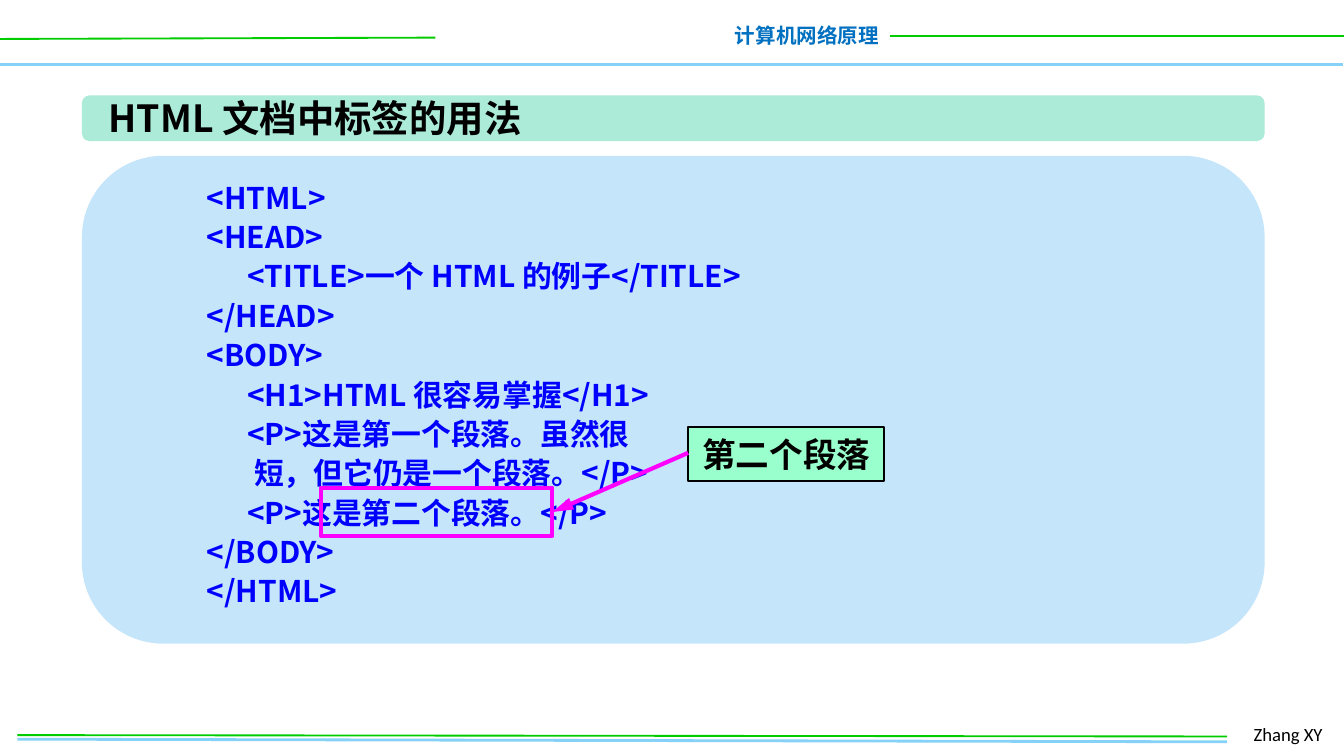
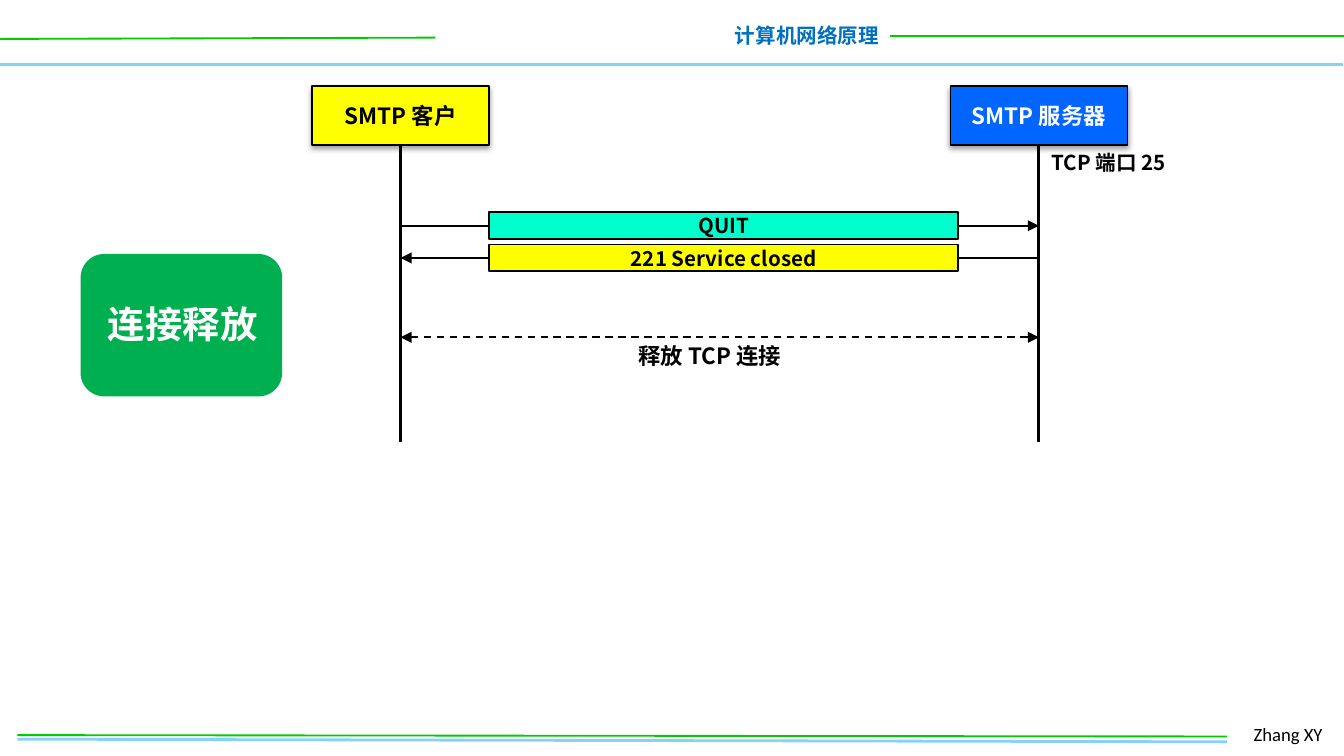
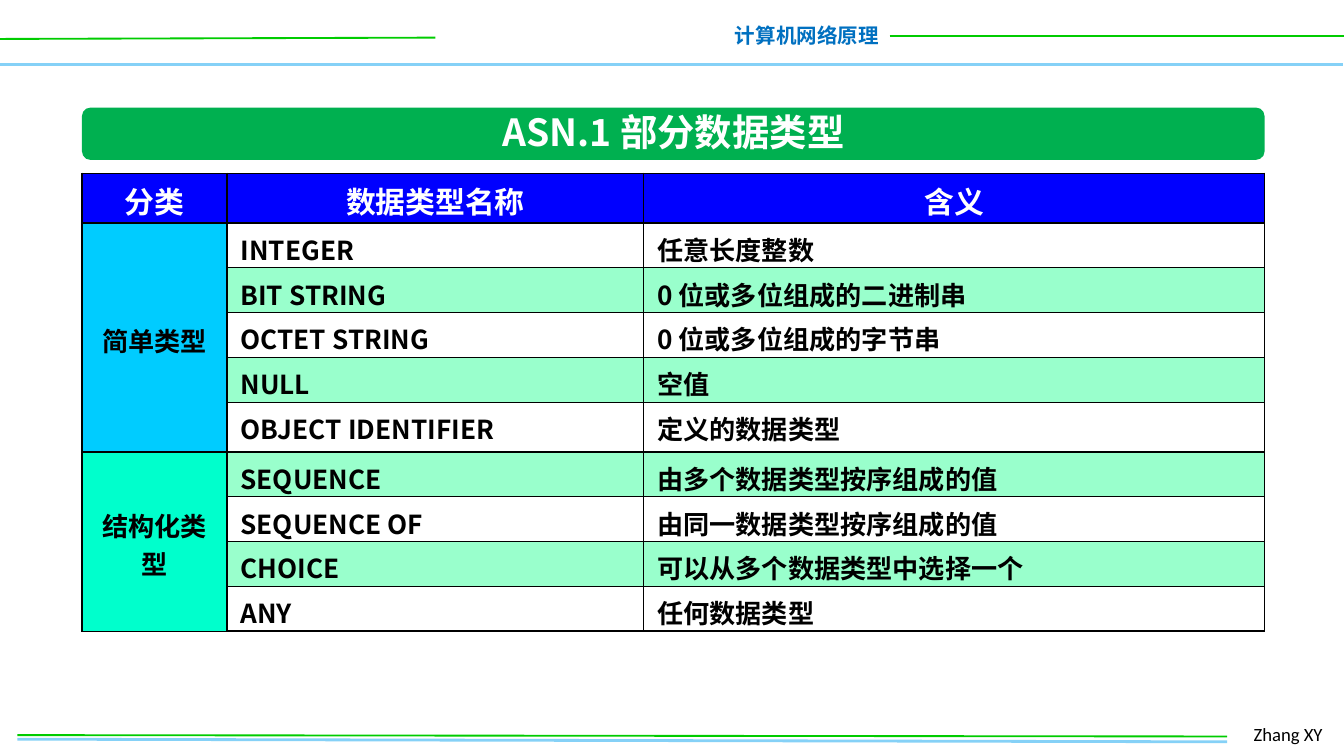
import lxml.etree
import pptx
import pptx.dml.color
import pptx.enum.dml
import pptx.enum.shapes
import pptx.enum.text
import pptx.oxml.ns
import pptx.util

Inches = pptx.util.Inches
Pt = pptx.util.Pt
SHAPE = pptx.enum.shapes.MSO_SHAPE
ALIGN = pptx.enum.text.PP_ALIGN
ANCHOR = pptx.enum.text.MSO_ANCHOR
qn = pptx.oxml.ns.qn

FONT = "Noto Sans CJK SC"
BLACK, WHITE, YELLOW = "000000", "FFFFFF", "FFFF00"
GREEN_RULE, BLUE_RULE = "00CC00", "85D1F7"
GREEN, MINT, AQUA = "00B050", "99FFCC", "00FFCC"
BLUE, MAGENTA = "0000FF", "FF00FF"
LEFT, WIDTH = 0.61, 8.8

HTML_CODE = [
    "<HTML>",
    "<HEAD>\n      <TITLE>一个 HTML 的例子</TITLE>",
    "</HEAD>",
    "<BODY>",
    "      <H1>HTML 很容易掌握</H1>",
    "      <P>这是第一个段落。虽然很",
    "       短，但它仍是一个段落。</P>",
    "      <P>这是第二个段落。</P>",
    "</BODY>",
    "</HTML>",
]
HEADINGS = ["分类", "数据类型名称", "含义"]
# category, colour, (type name, meaning) pairs
DATA_TYPES = [
    ("简单类型", "00CCFF", [
        ("INTEGER", "任意长度整数"),
        ("BIT STRING", "0 位或多位组成的二进制串"),
        ("OCTET STRING", "0 位或多位组成的字节串"),
        ("NULL", "空值"),
        ("OBJECT IDENTIFIER", "定义的数据类型"),
    ]),
    ("结构化类型", AQUA, [
        ("SEQUENCE", "由多个数据类型按序组成的值"),
        ("SEQUENCE OF", "由同一数据类型按序组成的值"),
        ("CHOICE", "可以从多个数据类型中选择一个"),
        ("ANY", "任何数据类型"),
    ]),
]


def rgb(value):
    return pptx.dml.color.RGBColor.from_string(value)


def add_xml(parent, tag, **attributes):
    return lxml.etree.SubElement(parent, qn(tag), **attributes)


def write(tf, lines, size, color=BLACK, align=ALIGN.LEFT, bold=True, font=FONT, spacing=None):
    """Fill a text frame with one paragraph per line."""
    for i, line in enumerate(lines):
        p = tf.add_paragraph() if i else tf.paragraphs[0]
        p.text = line
        p.alignment = align
        if spacing:
            p.line_spacing = spacing
        p.font.size = Pt(size)
        p.font.bold = bold
        p.font.color.rgb = rgb(color)
        p.font.name = font
        add_xml(p._p.pPr.find(qn("a:defRPr")), "a:ea", typeface=font)


def add_text(s, box, lines, size, color=BLACK, wrap=False, **style):
    tf = s.shapes.add_textbox(*map(Inches, box)).text_frame
    tf.word_wrap = wrap
    tf.auto_size = pptx.enum.text.MSO_AUTO_SIZE.SHAPE_TO_FIT_TEXT
    write(tf, lines, size, color, **style)


def add_box(s, box, fill=None, line=None, width=1, kind=SHAPE.RECTANGLE):
    sp = s.shapes.add_shape(kind, *map(Inches, box))
    sp.shadow.inherit = False
    if fill:
        sp.fill.solid()
        sp.fill.fore_color.rgb = rgb(fill)
    else:
        sp.fill.background()
    if line:
        sp.line.color.rgb = rgb(line)
        sp.line.width = Pt(width)
    else:
        sp.line.fill.background()
    return sp


def add_label_box(s, box, text, size, fill, color=BLACK, width=1):
    sp = add_box(s, box, fill, BLACK, width)
    sp.text_frame.word_wrap = True
    sp.text_frame.vertical_anchor = ANCHOR.MIDDLE
    write(sp.text_frame, [text], size, color, ALIGN.CENTER)
    return sp


def add_shadow(sp):
    effects = sp._element.spPr.find(qn("a:effectLst"))
    shadow = add_xml(effects, "a:outerShdw", blurRad=str(Pt(3.1)), dist=str(Pt(1.6)),
                     dir="5400000", rotWithShape="0")
    add_xml(add_xml(shadow, "a:srgbClr", val=BLACK), "a:alpha", val="38000")


def add_line(s, start, end, color=BLACK, width=1, dashed=False, head=False, tail=False,
             arrow_length="med"):
    """Draw a line; head and tail put arrowheads at its start and end."""
    line = s.shapes.add_connector(pptx.enum.shapes.MSO_CONNECTOR.STRAIGHT,
                                  *map(Inches, (*start, *end)))
    line.line.color.rgb = rgb(color)
    line.line.width = Pt(width)
    if dashed:
        line.line.dash_style = pptx.enum.dml.MSO_LINE.DASH
    spPr = line._element.spPr
    for tag, wanted in (("a:headEnd", head), ("a:tailEnd", tail)):
        if wanted:
            add_xml(spPr.find(qn("a:ln")), tag, type="triangle", len=arrow_length)
    add_xml(spPr, "a:effectLst")


def add_band(s, box, fill):
    add_box(s, box, fill, kind=SHAPE.ROUNDED_RECTANGLE)


def add_slide(prs):
    """Add a blank slide with the course header and the author footer."""
    s = prs.slides.add_slide(prs.slide_layouts[6])
    add_line(s, (-0.01, 0.48), (9.99, 0.48), BLUE_RULE, 2)
    add_line(s, (0, 0.29), (3.24, 0.28), GREEN_RULE)
    add_text(s, (5.36, 0.12, 1.28, 0.29), ["计算机网络原理"], 11, "0070C0", align=ALIGN.RIGHT)
    add_line(s, (6.62, 0.27), (10.01, 0.27), GREEN_RULE)
    add_line(s, (0.13, 5.5), (9.13, 5.52), BLUE_RULE, 1.5)
    add_text(s, (9.23, 5.33, 0.74, 0.27), ["Zhang XY"], 10, wrap=True, bold=False, font="Calibri")
    add_line(s, (0.13, 5.47), (9.13, 5.48), GREEN_RULE)
    return s


def build_html_tags(prs):
    s = add_slide(prs)
    add_band(s, (LEFT, 1.16, WIDTH, 3.63), "C5E5FB")
    add_band(s, (LEFT, 0.71, WIDTH, 0.34), "ABEBD7")
    add_text(s, (0.71, 0.66, 3.38, 0.44), ["HTML 文档中标签的用法"], 20)
    add_text(s, (1.44, 1.26, 5.19, 3.36), HTML_CODE, 16, BLUE, wrap=True, spacing=1.1)
    callout = add_label_box(s, (5.12, 3.18, 1.46, 0.4), "第二个段落", 18, MINT)
    callout.text_frame.word_wrap = False
    add_line(s, (5.12, 3.37), (4.11, 3.81), MAGENTA, 2.25, tail=True, arrow_length="lg")
    add_box(s, (2.39, 3.63, 1.72, 0.36), line=MAGENTA, width=2.25)


def build_smtp_release(prs):
    s = add_slide(prs)
    client_x, server_x = 2.98, 7.73
    add_band(s, (0.6, 1.89, 1.5, 1.06), GREEN)
    add_text(s, (0.7, 2.19, 1.32, 0.44), ["连接释放"], 20, WHITE, align=ALIGN.CENTER)
    for x, left, name, fill, color in (
        (server_x, 7.07, "SMTP 服务器", "0066FF", WHITE),
        (client_x, 2.32, "SMTP 客户", YELLOW, BLACK),
    ):
        add_shadow(add_label_box(s, (left, 0.64, 1.32, 0.44), name, 12, fill, color, 0.75))
        add_line(s, (x, 1.08), (x, 3.29), width=1.5)
    add_text(s, (7.66, 1.07, 1.18, 0.29), ["TCP 端口 25"], 11, wrap=True, align=ALIGN.CENTER)

    add_text(s, (4.63, 2.5, 1.3, 0.3), ["释放 TCP 连接"], 12, wrap=True, align=ALIGN.CENTER)
    add_line(s, (client_x, 2.51), (server_x, 2.51), dashed=True, head=True, tail=True)
    for y, message, fill, to_server in (
        (1.68, "QUIT", AQUA, True),
        (1.92, "221 Service closed", YELLOW, False),
    ):
        add_line(s, (client_x, y), (server_x, y), head=not to_server, tail=to_server)
        add_label_box(s, (3.64, y - 0.1, 3.49, 0.2), message, 11, fill)


def set_cell(cell, text, fill, size=14, color=BLACK, centred=False):
    cell.margin_top, cell.margin_bottom = Inches(0.04 if centred else 0.05), 0
    cell.vertical_anchor = ANCHOR.MIDDLE if centred else ANCHOR.TOP
    write(cell.text_frame, [text], size, color, ALIGN.CENTER if centred else ALIGN.LEFT)
    cell.fill.solid()
    cell.fill.fore_color.rgb = rgb(fill)


def set_borders(table):
    """Rule every cell, a little heavier round the outside."""
    last_row, last_col = len(table.rows) - 1, len(table.columns) - 1
    for i, row in enumerate(table.rows):
        for j, cell in enumerate(row.cells):
            tcPr = cell._tc.get_or_add_tcPr()
            for side, outer in (("L", j == 0), ("R", j == last_col),
                                ("T", i == 0), ("B", i == last_row)):
                ln = add_xml(tcPr, f"a:ln{side}", w=str(Pt(1 if outer else 0.75)))
                add_xml(add_xml(ln, "a:solidFill"), "a:srgbClr", val=BLACK)


def build_asn1_types(prs):
    s = add_slide(prs)
    add_band(s, (LEFT, 0.8, WIDTH, 0.39), GREEN)
    add_text(s, (3.59, 0.76, 2.84, 0.44), ["ASN.1 部分数据类型"], 20, WHITE, align=ALIGN.CENTER)

    height, tall_row = 3.41, 0.37
    row_height = (height - 2 * tall_row) / 8
    heights = ([tall_row] + [row_height] * 4) * 2
    table = s.shapes.add_table(len(heights), len(HEADINGS),
                               *map(Inches, (LEFT, 1.29, WIDTH, height))).table
    for column, width in zip(table.columns, (1.08, 3.1, 4.62)):
        column.width = Inches(width)
    for row, row_size in zip(table.rows, heights):
        row.height = Inches(row_size)

    set_borders(table)
    for j, heading in enumerate(HEADINGS):
        set_cell(table.cell(0, j), heading, BLUE, 16, WHITE, centred=True)
    i = 1
    for category, color, types in DATA_TYPES:
        first = table.cell(i, 0)
        first.merge(table.cell(i + len(types) - 1, 0))
        set_cell(first, category, color, centred=True)
        for texts in types:
            for j, text in enumerate(texts, 1):
                set_cell(table.cell(i, j), text, WHITE if i % 2 else MINT)
            i += 1


def main():
    prs = pptx.Presentation()
    prs.slide_width, prs.slide_height = Inches(10), Inches(10 * 9 / 16)
    build_html_tags(prs)
    build_smtp_release(prs)
    build_asn1_types(prs)
    prs.save("out.pptx")


if __name__ == "__main__":
    main()
